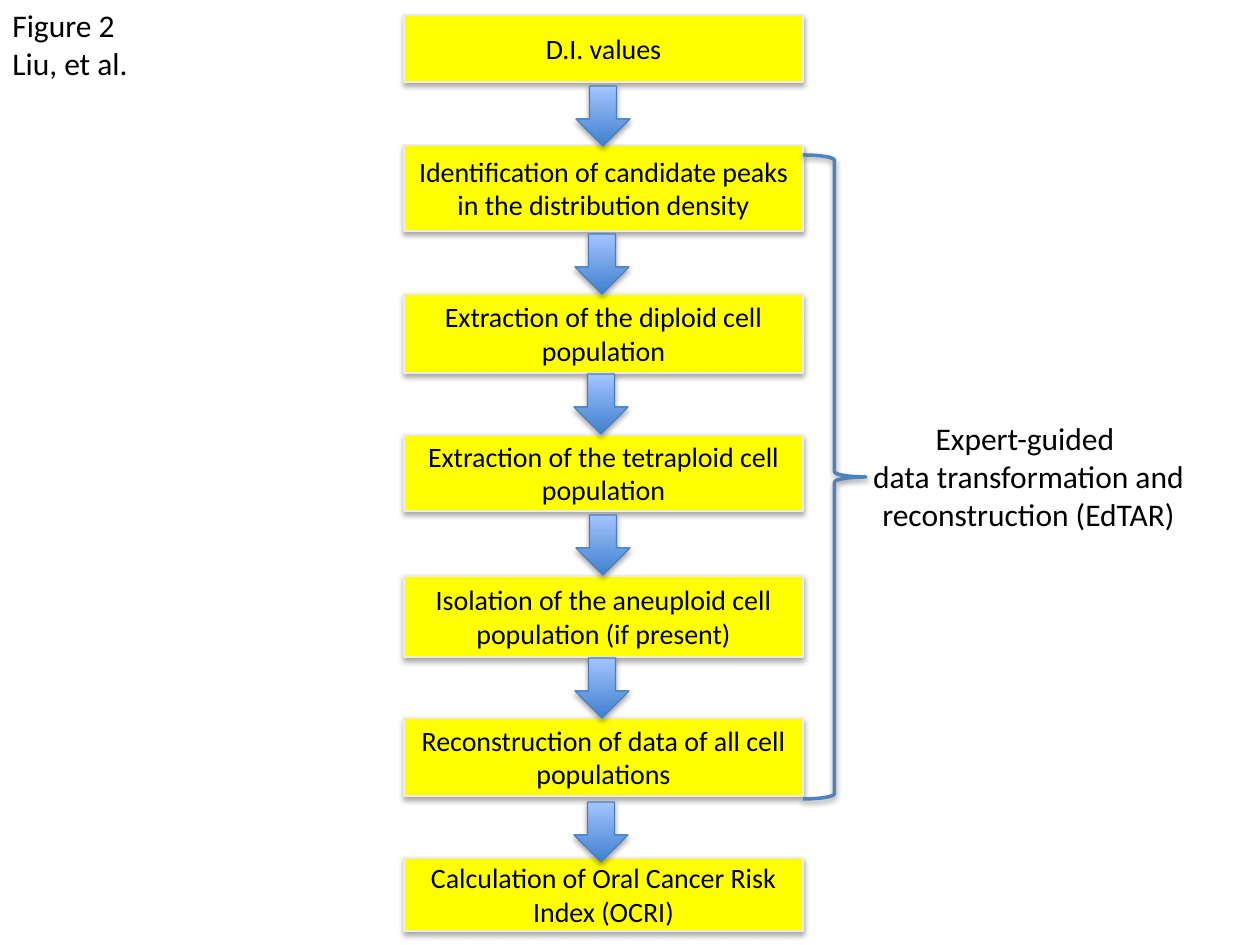
from pptx import Presentation
from pptx.util import Pt
from pptx.dml.color import RGBColor as RGB
from pptx.enum.shapes import MSO_SHAPE as SHAPE
from pptx.enum.text import PP_ALIGN as ALIGN, MSO_ANCHOR as ANCHOR, MSO_AUTO_SIZE as AUTO
from pptx.oxml import parse_xml
from pptx.oxml.ns import nsdecls

PX = 914400 // 126
HEX = {"box": "FFFF00", "edge": "EEECE1", "text": "000000", "dark": "3F80CE",
       "light": "A4C4FF", "rim": "4B7EBC", "brace": "4F81BD"}
COLOR = {name: RGB.from_string(code) for name, code in HEX.items()}

deck = Presentation()
deck.slide_width, deck.slide_height = 1260 * PX, 945 * PX
slide = deck.slides.add_slide(deck.slide_layouts[6])
shapes = slide.shapes


def draw(kind, left, top, width, height, edge, weight=0.75, dist=23000, alpha=35000):
    shape = shapes.add_shape(kind, left * PX, top * PX, width * PX, height * PX)
    shape.line.color.rgb = COLOR[edge]
    shape.line.width = Pt(weight)
    shape.shadow.inherit = False
    shape._element.spPr.find("{*}effectLst").append(parse_xml(
        f'<a:outerShdw {nsdecls("a")} blurRad="40000" dist="{dist}" dir="5400000" rotWithShape="0">'
        f'<a:srgbClr val="000000"><a:alpha val="{alpha}"/></a:srgbClr></a:outerShdw>'))
    return shape


def write(shape, text, size, align):
    frame = shape.text_frame
    frame.text = text
    frame.word_wrap = True
    for para in frame.paragraphs:
        para.alignment = align
        for run in para.runs:
            run.font.name = "Calibri"
            run.font.size = Pt(size)
            run.font.color.rgb = COLOR["text"]
    return frame


steps = [
    ("D.I. values", 15, 67),
    ("Identification of candidate peaks in the distribution density", 145, 86),
    ("Extraction of the diploid cell population", 294, 79),
    ("Extraction of the tetraploid cell population", 435, 76),
    ("Isolation of the aneuploid cell population (if present)", 576, 81),
    ("Reconstruction of data of all cell populations", 718, 78),
    ("Calculation of Oral Cancer Risk Index (OCRI)", 858, 73),
]
for text, top, height in steps:
    box = draw(SHAPE.RECTANGLE, 404, top, 399, height, "edge")
    box.fill.solid()
    box.fill.fore_color.rgb = COLOR["box"]
    write(box, text, 16, ALIGN.CENTER).vertical_anchor = ANCHOR.MIDDLE

arrows = [(576, 86), (575, 234), (574, 374), (576, 515), (575, 658), (574, 802)]
for left, top in arrows:
    arrow = draw(SHAPE.DOWN_ARROW, left, top, 54, 60, "rim")
    arrow.fill.gradient()
    arrow.fill.gradient_angle = 90
    for stop, name, place in zip(arrow.fill.gradient_stops, ("dark", "light"), (0, 1)):
        stop.color.rgb = COLOR[name]
        stop.position = place

brace = draw(SHAPE.RIGHT_BRACE, 803, 155, 63, 644, "brace", 2, 20000, 38000)
brace.fill.background()

labels = [
    ("Figure 2\nLiu, et al.", 0, 0, 142, 89, ALIGN.LEFT, False),
    ("Expert-guided \ndata transformation and reconstruction (EdTAR)", 856, 413, 345, 127,
     ALIGN.CENTER, True),
]
for text, left, top, width, height, align, wrap in labels:
    label = shapes.add_textbox(left * PX, top * PX, width * PX, height * PX)
    frame = write(label, text, 18, align)
    frame.word_wrap = wrap
    frame.auto_size = AUTO.SHAPE_TO_FIT_TEXT

deck.save("out.pptx")
